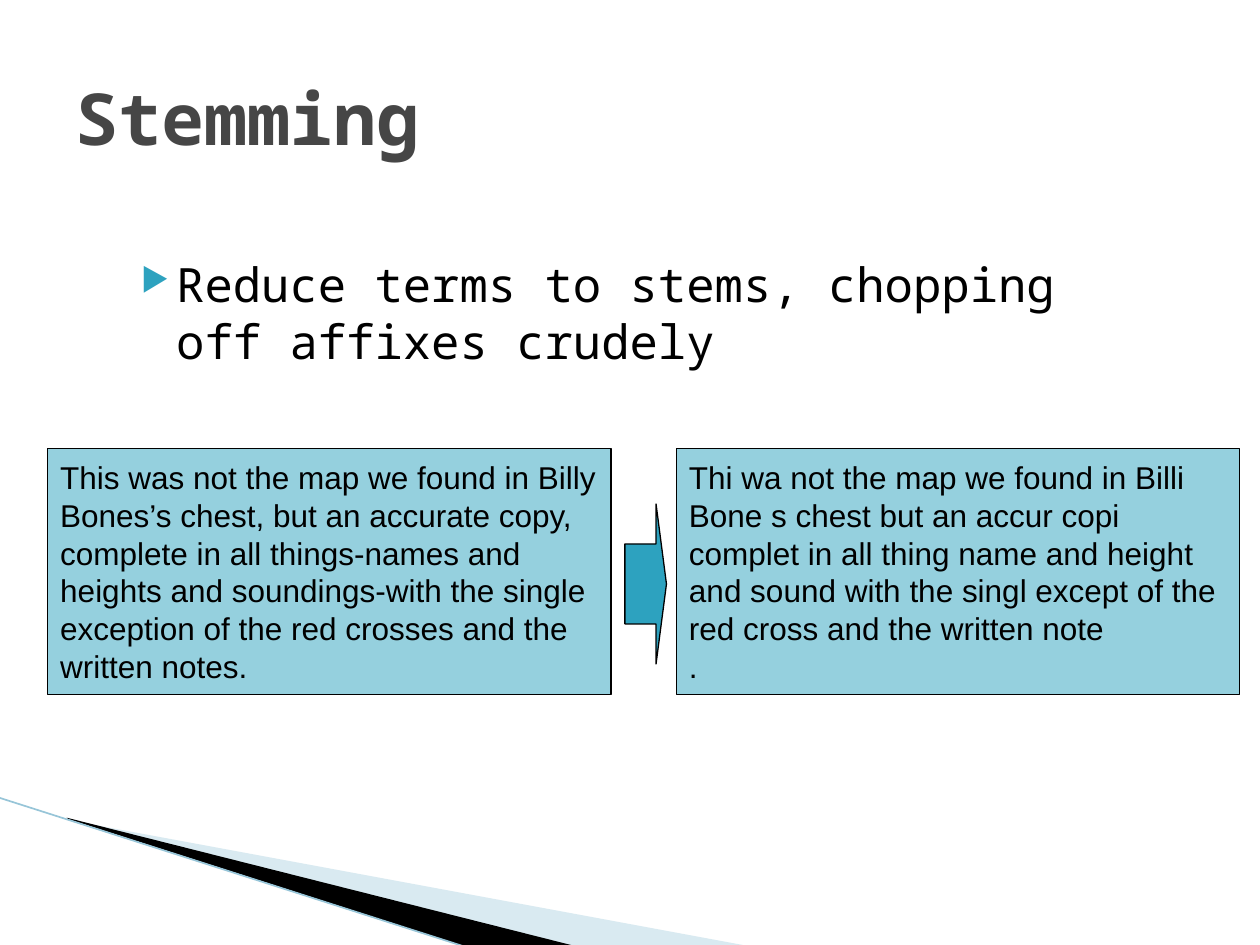
import dataclasses

import pptx
import pptx.util
import pptx.dml.color
import pptx.enum.shapes
import pptx.enum.text
import pptx.oxml
import pptx.oxml.ns
from lxml import etree

Inches = pptx.util.Inches
Pt = pptx.util.Pt
Kind = pptx.enum.shapes.MSO_SHAPE
Anchor = pptx.enum.text.MSO_ANCHOR
Align = pptx.enum.text.PP_ALIGN


@dataclasses.dataclass(frozen=True)
class Theme:
    """Colours, fonts and type sizes of the slide."""
    teal: str = "2DA2BF"
    pale: str = "A0CBDC"
    edge: str = "97C5D8"
    ink: str = "000000"
    head: str = "464646"
    mono: str = "Noto Sans Mono"
    sans: str = "Arial"
    title: int = 41
    body: int = 27
    small: int = 18


THEME = Theme()
BEFORE = (
    "This was not the map we found in Billy Bones’s chest, but an accurate copy, "
    "complete in all things-names and heights and soundings-with the single "
    "exception of the red crosses and the written notes.",
)
AFTER = (
    "Thi wa not the map we found in Billi Bone s chest but an accur copi complet "
    "in all thing name and height and sound with the singl except of the red "
    "cross and the written note",
    ".",
)


def color(code):
    """Turn a hex code into a colour."""
    return pptx.dml.color.RGBColor.from_string(code)


def child(parent, tag, **attrs):
    """Append a drawing element to a parent."""
    return etree.SubElement(parent, pptx.oxml.ns.qn(tag), attrs)


def style(para, face, size, code, bold=False):
    """Set the font of a paragraph."""
    para.alignment = Align.LEFT
    font = para.font
    font.name, font.size, font.bold = face, Pt(size), bold
    font.color.rgb = color(code)


def paint(shape, code, alpha=100, line=None):
    """Fill and outline a shape without shadow."""
    shape.shadow.inherit = False
    shape.fill.solid()
    shape.fill.fore_color.rgb = color(code)
    if alpha < 100:
        tint = shape.fill._xPr.find(".//" + pptx.oxml.ns.qn("a:srgbClr"))
        child(tint, "a:alpha", val=str(alpha * 1000))
    if line:
        shape.line.color.rgb = color(line)
        shape.line.width = Pt(0.75)
    else:
        shape.line.fill.background()


def add_wedge(slide, points, code, alpha=100):
    """Draw a closed outline through points in inches."""
    spots = [(Inches(x), Inches(y)) for x, y in points]
    pen = slide.shapes.build_freeform(*spots[0])
    pen.add_line_segments(spots[1:], close=True)
    paint(pen.convert_to_shape(), code, alpha)


def add_decor(slide):
    """Draw the corner wedges and their edge line."""
    add_wedge(slide, [(0.55, 6.51), (5.95, 7.51), (4.56, 7.51), (0.55, 6.5)], THEME.pale, 40)
    add_wedge(slide, [(0.53, 6.49), (4.57, 7.51), (3.72, 7.52), (0.54, 6.5)], THEME.ink)
    line = slide.shapes.add_connector(
        pptx.enum.shapes.MSO_CONNECTOR.STRAIGHT,
        Inches(-0.01), Inches(6.33), Inches(3.71), Inches(7.52))
    line.line.color.rgb = color(THEME.edge)
    line.line.width = Pt(0.95)
    child(line._element.spPr, "a:effectLst")


def add_title(slide, box, text):
    """Place and format the title."""
    title = slide.shapes.title
    title.left, title.top, title.width, title.height = map(Inches, box)
    frame = title.text_frame
    frame.text = text
    frame.vertical_anchor = Anchor.MIDDLE
    style(frame.paragraphs[0], THEME.mono, THEME.title, THEME.head, True)


def add_point(slide, box, text):
    """Place a bulleted statement."""
    frame = slide.shapes.add_textbox(*map(Inches, box)).text_frame
    frame.word_wrap = True
    para = frame.paragraphs[0]
    para.text = text
    para.space_before = Pt(4)
    props = para._p.get_or_add_pPr()
    props.set("marL", str(Inches(0.4)))
    props.set("indent", str(Inches(-0.28)))
    child(child(props, "a:buClr"), "a:srgbClr", val=THEME.teal)
    child(props, "a:buSzPct", val="68000")
    child(props, "a:buChar", char="▶")
    style(para, THEME.mono, THEME.body, THEME.ink)


def add_panel(slide, box, lines):
    """Place a tinted box of text."""
    panel = slide.shapes.add_shape(Kind.RECTANGLE, *map(Inches, box))
    paint(panel, THEME.teal, 50, THEME.ink)
    frame = panel.text_frame
    frame.word_wrap = True
    frame.auto_size = pptx.enum.text.MSO_AUTO_SIZE.SHAPE_TO_FIT_TEXT
    frame.vertical_anchor = Anchor.MIDDLE
    frame.text = "\n".join(lines)
    for para in frame.paragraphs:
        style(para, THEME.sans, THEME.small, THEME.ink)


def add_change(slide, box):
    """Place the two texts with an arrow between them."""
    left, top, width, height = box
    side = 4.47
    add_panel(slide, (left, top, side, height), BEFORE)
    arrow = slide.shapes.add_shape(
        Kind.RIGHT_ARROW, *map(Inches, (left + side + 0.11, top + 0.44, 0.33, 1.27)))
    arrow.adjustments[0], arrow.adjustments[1] = 0.5, 0.25
    paint(arrow, THEME.teal, line=THEME.ink)
    add_panel(slide, (left + width - side, top, side, height), AFTER)


def main():
    """Build and save the slide."""
    deck = pptx.Presentation()
    deck.slide_width, deck.slide_height = Inches(10), Inches(7.5)
    slide = deck.slides.add_slide(deck.slide_layouts[5])
    add_decor(slide)
    add_title(slide, (0.5, 0.3, 9, 1.25), "Stemming")
    add_point(slide, (0.9, 1.98, 8.25, 3.75),
              "Reduce terms to stems, chopping off affixes crudely")
    add_change(slide, (0.38, 3.56, 9.46, 1.95))
    deck.save("out.pptx")


if __name__ == "__main__":
    main()
